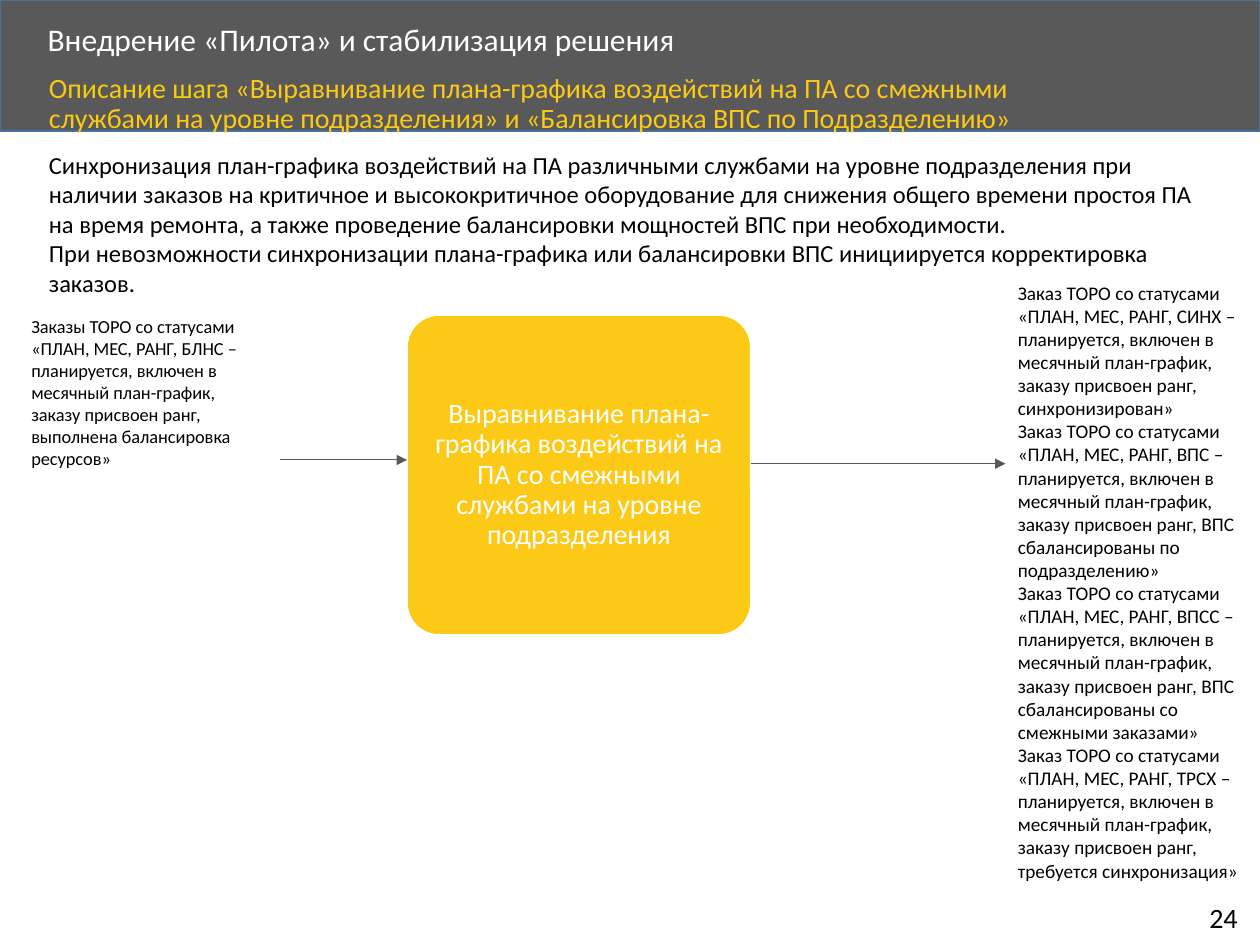
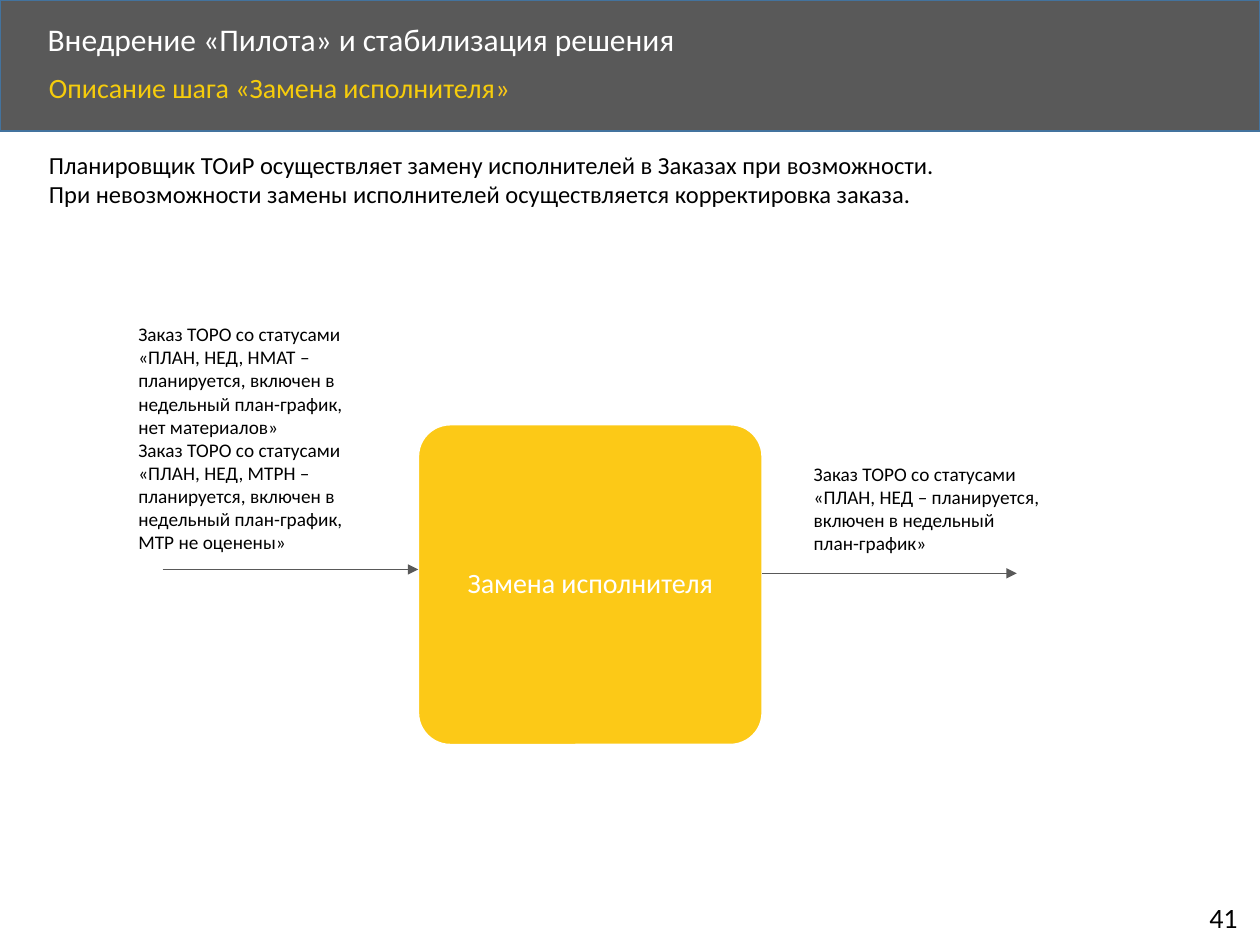
from lxml import etree
from pptx import Presentation
from pptx.dml.color import RGBColor
from pptx.enum import shapes, text
from pptx.oxml import ns
from pptx.util import Inches, Pt

GREY = RGBColor(0x59, 0x59, 0x59)
BLUE = RGBColor(0x43, 0x73, 0x9E)
GOLD = RGBColor(0xFC, 0xC9, 0x17)
AMBER = RGBColor(0xF6, 0xCC, 0x0C)
WHITE = RGBColor(0xFF, 0xFF, 0xFF)
BLACK = RGBColor(0, 0, 0)
FONT = "Calibri"
TITLE = "Внедрение «Пилота» и стабилизация решения"
STEP_W, STEP_H = 2.73, 2.54
IN_Y, OUT_Y = 1.15, 1.18


def add_text(slide, box, paras, size, color=BLACK, align=text.PP_ALIGN.LEFT,
             anchor=text.MSO_ANCHOR.TOP, spacing=1.0, inset=None, wrap=True):
    frame = slide.shapes.add_textbox(*map(Inches, box)).text_frame
    frame.word_wrap = wrap
    frame.vertical_anchor = anchor
    if inset is not None:
        frame.margin_left = frame.margin_right = Inches(inset)
        frame.margin_top = frame.margin_bottom = Inches(inset)
    for i, runs in enumerate(paras):
        para = frame.add_paragraph() if i else frame.paragraphs[0]
        para.alignment = align
        para.line_spacing = spacing
        for words, tint in [(runs, color)] if isinstance(runs, str) else runs:
            run = para.add_run()
            run.text = words
            run.font.name = FONT
            run.font.size = Pt(size)
            run.font.color.rgb = tint


def add_block(slide, kind, box, fill, line):
    block = slide.shapes.add_shape(kind, *map(Inches, box))
    block.shadow.inherit = False
    block.fill.solid()
    block.fill.fore_color.rgb = fill
    block.line.color.rgb = line
    block.line.width = Pt(1)
    return block


def add_arrow(slide, start, end, y):
    arrow = slide.shapes.add_connector(
        shapes.MSO_CONNECTOR.STRAIGHT, *map(Inches, (start, y, end, y)))
    arrow.line.color.rgb = GREY
    arrow.line.width = Pt(0.5)
    etree.SubElement(arrow.line._get_or_add_ln(), ns.qn("a:tailEnd"), type="triangle")
    etree.SubElement(arrow._element.spPr, ns.qn("a:effectLst"))


def add_frame(slide, step, page):
    add_block(slide, shapes.MSO_SHAPE.RECTANGLE, (0, 0, 10, 1.04), GREY, BLUE)
    add_text(slide, (0.28, 0.14, 8.07, 0.38), [TITLE], 18, WHITE,
             anchor=text.MSO_ANCHOR.MIDDLE, spacing=0.9)
    add_text(slide, (0.29, 0.54, 8.65, 0.45), [step], 16, spacing=0.9)
    add_text(slide, (9.5, 7.1, 0.46, 0.37), [page], 16, wrap=False)


def add_step(slide, left, top, name, reach_in, reach_out):
    block = add_block(slide, shapes.MSO_SHAPE.ROUNDED_RECTANGLE,
                      (left, top, STEP_W, STEP_H), GOLD, WHITE)
    block.adjustments[0] = 0.1
    add_text(slide, (left + 0.06, top + 0.07, STEP_W - 0.12, STEP_H - 0.14), [name],
             16, WHITE, text.PP_ALIGN.CENTER, text.MSO_ANCHOR.MIDDLE, 0.9, 0.01)
    right = left + STEP_W
    add_arrow(slide, left - reach_in, left, top + IN_Y)
    add_arrow(slide, right, right + reach_out, top + OUT_Y)


def add_note(slide, box, orders, size=11):
    add_text(slide, box, orders, size)


def add_intro(slide, height, paras):
    add_text(slide, (0.29, 1.14, 9.46, height), paras, 14)


def build_level(slide):
    add_frame(slide, [
        ("Описание шага ", AMBER),
        ("«Выравнивание плана-графика воздействий на ПА со смежными службами на уровне "
         "подразделения» и «Балансировка ВПС по Подразделению»", GOLD)], "24")
    add_intro(slide, 1.28, [
        "Синхронизация план-графика воздействий на ПА различными службами на уровне "
        "подразделения при наличии заказов на критичное и высококритичное оборудование "
        "для снижения общего времени простоя ПА на время ремонта, а также проведение "
        "балансировки мощностей ВПС при необходимости.",
        "При невозможности синхронизации плана-графика или балансировки ВПС "
        "инициируется корректировка заказов."])
    add_step(slide, 3.23, 2.5, "Выравнивание плана-графика воздействий на ПА со смежными "
             "службами на уровне подразделения", 1.01, 2.02)
    add_note(slide, (0.15, 2.45, 2, 1.34), [
        "Заказы ТОРО со статусами «ПЛАН, МЕС, РАНГ, БЛНС – планируется, включен в месячный "
        "план-график, заказу присвоен ранг, выполнена балансировка ресурсов»"], 10.5)
    states = [
        ("СИНХ", "синхронизирован"),
        ("ВПС", "ВПС сбалансированы по подразделению"),
        ("ВПСС", "ВПС сбалансированы со смежными заказами"),
        ("ТРСХ", "требуется синхронизация")]
    add_note(slide, (7.98, 2.18, 2, 4.91), [
        f"Заказ ТОРО со статусами «ПЛАН, МЕС, РАНГ, {code} – планируется, включен в "
        f"месячный план-график, заказу присвоен ранг, {sense}»" for code, sense in states])


def build_swap(slide):
    add_frame(slide, [("Описание шага «Замена исполнителя", AMBER), ("»", GOLD)], "41")
    add_intro(slide, 0.57, [
        "Планировщик ТОиР осуществляет замену исполнителей в Заказах при возможности.",
        "При невозможности замены исполнителей осуществляется корректировка заказа."])
    add_step(slide, 3.32, 3.37, "Замена исполнителя", 2.03, 2.02)
    states = [("НМАТ", "нет материалов"), ("МТРН", "МТР не оценены")]
    add_note(slide, (1, 2.51, 2, 1.95), [
        f"Заказ ТОРО со статусами «ПЛАН, НЕД, {code} – планируется, включен в "
        f"недельный план-график, {sense}»" for code, sense in states])
    add_note(slide, (6.36, 3.62, 2, 0.84), [
        "Заказ ТОРО со статусами «ПЛАН, НЕД – планируется, включен в недельный "
        "план-график»"])


def main():
    deck = Presentation()
    deck.slide_width, deck.slide_height = Inches(10), Inches(7.5)
    for build in (build_level, build_swap):
        build(deck.slides.add_slide(deck.slide_layouts[6]))
    deck.save("out.pptx")


if __name__ == "__main__":
    main()
